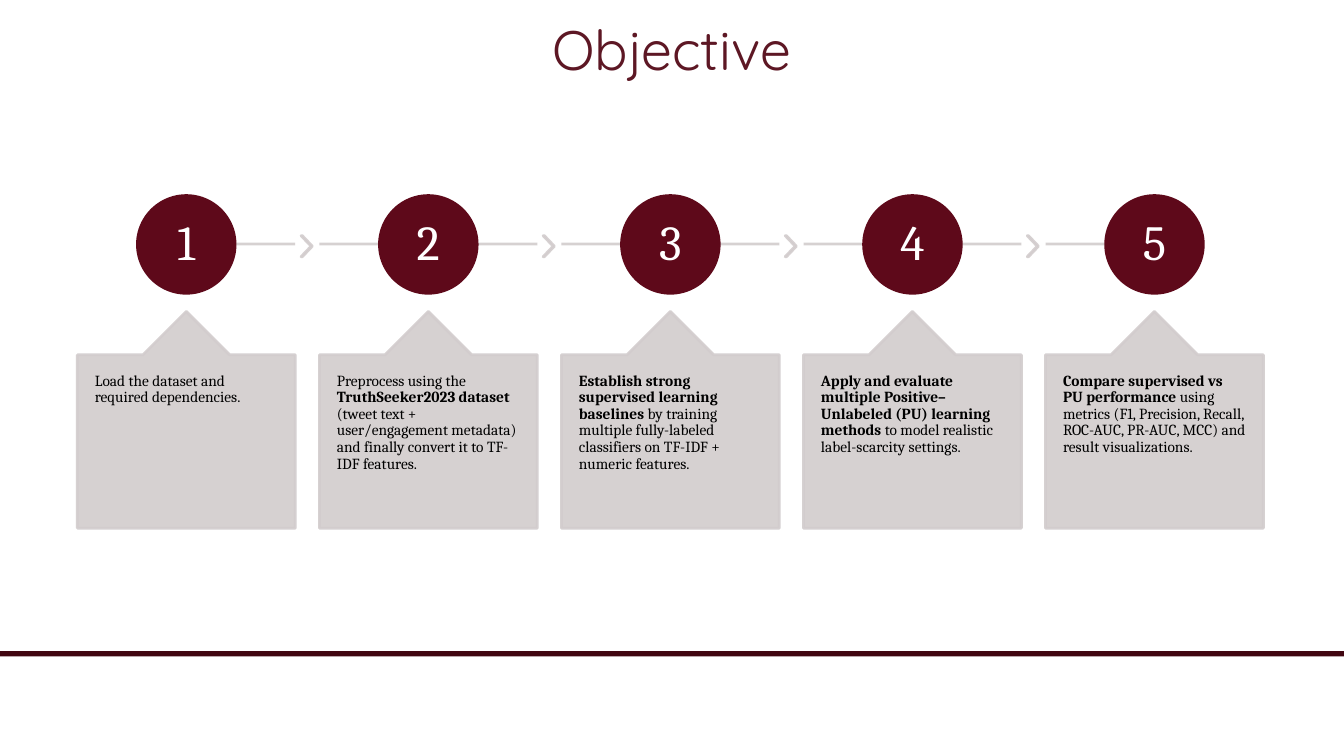
import dataclasses
import typing

import lxml.etree
import pptx
import pptx.dml.color
import pptx.enum.shapes
import pptx.enum.text
import pptx.oxml.ns
import pptx.shapes.autoshape
import pptx.shapes.base
import pptx.slide
import pptx.text.text
import pptx.util

Cm = pptx.util.Cm
Shapes = pptx.enum.shapes.MSO_SHAPE
Anchor = pptx.enum.text.MSO_ANCHOR
Align = pptx.enum.text.PP_ALIGN
qn = pptx.oxml.ns.qn

COLORS = {
    "bar": "410611",
    "title": "5D1724",
    "circle": "5E091A",
    "card": "D2CCCD",
    "number": "FFFFFF",
    "text": "000000",
}
FONTS = {
    "title": {"name": "Quicksand", "size": pptx.util.Pt(39.6)},
    "number": {"name": "Cambria", "size": pptx.util.Pt(35)},
    "text": {"name": "Cambria", "size": pptx.util.Pt(11)},
}
FRAMES = {
    "title": {"vertical_anchor": Anchor.MIDDLE, "word_wrap": True,
              "auto_size": pptx.enum.text.MSO_AUTO_SIZE.NONE},
    "number": {"vertical_anchor": Anchor.MIDDLE, "word_wrap": True,
               "margin_left": Cm(0.1), "margin_right": Cm(0.1),
               "margin_top": Cm(0.1), "margin_bottom": Cm(0.1)},
    "text": {"vertical_anchor": Anchor.TOP, "word_wrap": True,
             "margin_left": Cm(0.44), "margin_right": Cm(0.44),
             "margin_top": Cm(0.45), "margin_bottom": Cm(0.45)},
}
PARAGRAPHS = {
    "title": {"alignment": Align.CENTER},
    "number": {"alignment": Align.CENTER, "line_spacing": 0.9},
    "text": {"alignment": Align.LEFT, "line_spacing": 0.9},
}

SLIDE_WIDTH, SLIDE_HEIGHT = 33.87, 19.05
FIRST_LEFT, PITCH = 1.95, 6.1
CARD_TOP, CARD_WIDTH, CARD_HEIGHT = 7.85, 5.49, 5.46
CIRCLE_TOP, CIRCLE_SIZE = 4.93, 2.46
TRACK_Y = 6.15


@dataclasses.dataclass(frozen=True)
class Phrase:
    text: str
    bold: bool = False


@dataclasses.dataclass(frozen=True)
class Step:
    phrases: tuple[Phrase, ...]


STEPS = (
    Step((Phrase("Load the dataset and required dependencies."),)),
    Step((Phrase("Preprocess using the "),
          Phrase("TruthSeeker2023 dataset", True),
          Phrase(" (tweet text + user/engagement metadata) and finally "
                 "convert it to TF-IDF features."))),
    Step((Phrase("Establish strong supervised learning baselines", True),
          Phrase(" by training multiple fully-labeled classifiers on "
                 "TF-IDF + numeric features."))),
    Step((Phrase("Apply and evaluate multiple Positive–Unlabeled (PU) "
                 "learning methods", True),
          Phrase(" to model realistic label-scarcity settings."))),
    Step((Phrase("Compare supervised vs PU performance", True),
          Phrase(" using metrics (F1, Precision, Recall, ROC-AUC, PR-AUC, "
                 "MCC) and result visualizations."))),
)


def rgb(role: str) -> pptx.dml.color.RGBColor:
    return pptx.dml.color.RGBColor.from_string(COLORS[role])


def apply(target: object, values: dict[str, typing.Any]) -> None:
    for attribute, value in values.items():
        setattr(target, attribute, value)


def make_translucent(shape: pptx.shapes.base.BaseShape) -> None:
    for color in shape._element.spPr.iter(qn("a:srgbClr")):
        lxml.etree.SubElement(color, qn("a:alpha")).set("val", "90000")


def write(frame: pptx.text.text.TextFrame, role: str,
          phrases: tuple[Phrase, ...]) -> None:
    apply(frame, FRAMES[role])
    paragraph = frame.paragraphs[0]
    apply(paragraph, PARAGRAPHS[role])
    for phrase in phrases:
        run = paragraph.add_run()
        run.text = phrase.text
        apply(run.font, FONTS[role] | {"bold": phrase.bold})
        run.font.color.rgb = rgb(role)


def draw_shape(slide: pptx.slide.Slide, kind: Shapes, role: str, left: float,
               top: float, width: float, height: float, line_width: float = 2,
               ) -> pptx.shapes.autoshape.Shape:
    shape = slide.shapes.add_shape(
        kind, Cm(left), Cm(top), Cm(width), Cm(height))
    shape.shadow.inherit = False
    shape.fill.solid()
    shape.fill.fore_color.rgb = rgb(role)
    if line_width:
        shape.line.color.rgb = rgb(role)
        shape.line.width = pptx.util.Pt(line_width)
    else:
        shape.line.fill.background()
    return shape


def draw_track(slide: pptx.slide.Slide, start: float, end: float) -> None:
    track = slide.shapes.add_connector(
        pptx.enum.shapes.MSO_CONNECTOR.STRAIGHT,
        Cm(start), Cm(TRACK_Y), Cm(end), Cm(TRACK_Y))
    track.line.color.rgb = rgb("card")
    track.line.width = pptx.util.Pt(2)
    make_translucent(track)
    lxml.etree.SubElement(track._element.spPr, qn("a:effectLst"))


def draw_step(slide: pptx.slide.Slide, index: int, step: Step) -> None:
    left = FIRST_LEFT + index * PITCH
    center = left + CARD_WIDTH / 2
    is_first, is_last = index == 0, index == len(STEPS) - 1
    draw_track(slide, center if is_first else left,
               center if is_last else left + CARD_WIDTH)
    if not is_last:
        chevron = draw_shape(slide, Shapes.CHEVRON, "card",
                             left + 5.64, 5.94, 0.28, 0.53)
        chevron.adjustments[0] = 0.9
        make_translucent(chevron)

    circle = draw_shape(slide, Shapes.OVAL, "circle", center - CIRCLE_SIZE / 2,
                        CIRCLE_TOP, CIRCLE_SIZE, CIRCLE_SIZE)
    write(circle.text_frame, "number", (Phrase(str(index + 1)),))

    card = draw_shape(slide, Shapes.UP_ARROW_CALLOUT, "card",
                      left, CARD_TOP, CARD_WIDTH, CARD_HEIGHT)
    for position, value in enumerate((0.5, 0.2, 0.2, 0.8)):
        card.adjustments[position] = value
    make_translucent(card)
    write(card.text_frame, "text", step.phrases)


def main() -> None:
    deck = pptx.Presentation()
    apply(deck, {"slide_width": Cm(SLIDE_WIDTH),
                 "slide_height": Cm(SLIDE_HEIGHT)})
    slide = deck.slides.add_slide(deck.slide_layouts[5])
    heading = slide.shapes.title
    apply(heading, {"left": Cm(13), "top": Cm(0.33),
                    "width": Cm(7.87), "height": Cm(1.8)})
    write(heading.text_frame, "title", (Phrase("Objective"),))
    draw_shape(slide, Shapes.RECTANGLE, "bar",
               0, 16.41, SLIDE_WIDTH, 0.13, line_width=0)
    for index, step in enumerate(STEPS):
        draw_step(slide, index, step)
    deck.save("out.pptx")


if __name__ == "__main__":
    main()
